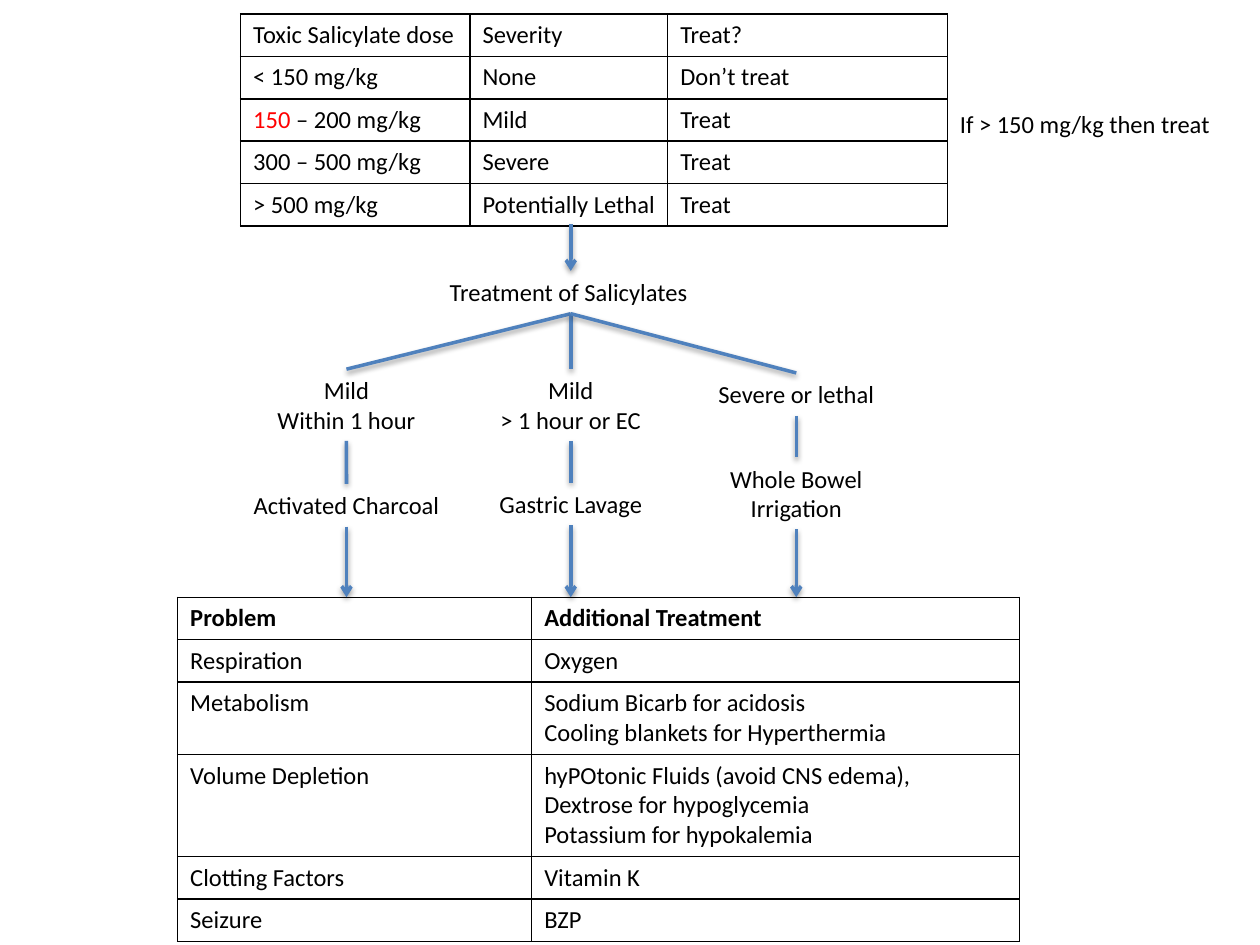
from dataclasses import dataclass

from lxml import etree
from pptx import Presentation
from pptx import util as u
from pptx.dml.color import RGBColor
from pptx.enum import text
from pptx.oxml import ns, parse_xml

NS = ns.nsdecls("a")
SHADOW = (f'<a:effectLst {NS}><a:outerShdw blurRad="40000" dist="20000" dir="5400000" '
          'rotWithShape="0"><a:srgbClr val="000000"><a:alpha val="38000"/></a:srgbClr>'
          '</a:outerShdw></a:effectLst>')


@dataclass(frozen=True)
class Theme:
    """Colours, type and line sizes of the slide."""
    font: str = "Calibri"
    size: int = 14
    ink: str = "000000"
    alert: str = "FF0000"
    line: str = "4F81BD"
    width: int = 2
    rule: int = 1


class Chart:
    """Holds the theme and the slide being drawn."""

    def __init__(self, theme, slide):
        self.theme, self.slide = theme, slide

    def style(self, run, color=None, bold=False):
        """Give a run the theme's type."""
        form = {"name": self.theme.font, "size": u.Pt(self.theme.size), "bold": bold}
        for key, val in form.items():
            setattr(run.font, key, val)
        run.font.color.rgb = RGBColor.from_string(color or self.theme.ink)

    def put(self, frame, words, bold=False, align=None):
        """Fill a frame; a tuple gives an alert run and a plain run."""
        lead, rest = words if isinstance(words, tuple) else ("", words)
        frame.text = rest
        for para in frame.paragraphs:
            para.alignment = align
            for run in para.runs:
                self.style(run, bold=bold)
        if lead:
            para = frame.paragraphs[0]
            para.runs[0].text = lead
            self.style(para.runs[0], self.theme.alert, bold)
            tail = para.add_run()
            tail.text = rest
            self.style(tail, bold=bold)

    def label(self, words, mid, top, width, align=text.PP_ALIGN.CENTER):
        """Add a text box centred on mid."""
        high = 0.57 if "\n" in words else 0.34
        box = self.slide.shapes.add_textbox(
            *map(u.Inches, (mid - width / 2, top, width, high)))
        form = {"word_wrap": False, "auto_size": text.MSO_AUTO_SIZE.SHAPE_TO_FIT_TEXT}
        for key, val in form.items():
            setattr(box.text_frame, key, val)
        self.put(box.text_frame, words, align=align)
        return box

    def link(self, ends, start=None, stop=None, arrow=False):
        """Draw a shadowed line, joined to the boxes given."""
        line = self.slide.shapes.add_connector(1, *map(u.Inches, ends))
        if start is not None:
            line.begin_connect(start, 2)
        if stop is not None:
            line.end_connect(stop, 0)
        line.line.color.rgb = RGBColor.from_string(self.theme.line)
        line.line.width = u.Pt(self.theme.width)
        props = line._element.spPr
        if arrow:
            etree.SubElement(props.find(ns.qn("a:ln")), ns.qn("a:tailEnd"), type="arrow")
        props.append(parse_xml(SHADOW))

    def border(self, cell):
        """Rule all four sides of a cell."""
        for side in "LRTB":
            cell._tc.get_or_add_tcPr().append(parse_xml(
                f'<a:ln{side} {NS} w="{u.Pt(self.theme.rule)}"><a:solidFill>'
                f'<a:srgbClr val="{self.theme.ink}"/></a:solidFill></a:ln{side}>'))

    def table(self, left, top, cols, highs, rows, bold=False):
        """Add a ruled table, with a bold head if asked."""
        grid = self.slide.shapes.add_table(
            len(rows), len(cols), *map(u.Inches, (left, top, sum(cols), sum(highs)))).table
        for key in ("first_row", "horz_banding"):
            setattr(grid, key, False)
        for col, wide in zip(grid.columns, cols):
            col.width = u.Inches(wide)
        for r, (row, high) in enumerate(zip(rows, highs)):
            grid.rows[r].height = u.Inches(high)
            for c, words in enumerate(row):
                cell = grid.cell(r, c)
                self.put(cell.text_frame, words, bold=bold and r == 0)
                self.border(cell)
                cell.fill.background()


DOSES = [
    ("Toxic Salicylate dose", "Severity", "Treat?"),
    ("< 150 mg/kg", "None", "Don’t treat"),
    (("150", " – 200 mg/kg"), "Mild", "Treat"),
    ("300 – 500 mg/kg", "Severe", "Treat"),
    ("> 500 mg/kg", "Potentially Lethal", "Treat"),
]
EXTRAS = [
    ("Problem", "Additional Treatment"),
    ("Respiration", "Oxygen"),
    ("Metabolism", "Sodium Bicarb for acidosis\nCooling blankets for Hyperthermia"),
    ("Volume Depletion", "hyPOtonic Fluids (avoid CNS edema),\n"
     "Dextrose for hypoglycemia\nPotassium for hypokalemia"),
    ("Clotting Factors", "Vitamin K"),
    ("Seizure", "BZP"),
]
PATHS = [
    (2.75, ("Mild\nWithin 1 hour", 2.93, 1.31), ("Activated Charcoal", 3.84, 1.7)),
    (4.53, ("Mild\n> 1 hour or EC", 2.93, 1.33), ("Gastric Lavage", 3.83, 1.35)),
    (6.32, ("Severe or lethal", 2.96, 1.45), ("Whole Bowel\nIrrigation", 3.63, 1.26)),
]


def main():
    """Build the treatment flow chart."""
    deck = Presentation()
    deck.slide_width, deck.slide_height = u.Inches(10), u.Inches(7.5)
    chart = Chart(Theme(), deck.slides.add_slide(deck.slide_layouts[6]))
    row, base, hub = 0.33, 4.74, 4.53

    chart.table(1.91, 0.11, (1.82, 1.57, 2.22), [row] * 5, DOSES)
    chart.table(1.41, base, (2.81, 3.87), (row, row, 0.56, 0.8, row, row), EXTRAS, bold=True)
    chart.label("If > 150 mg/kg then treat", 8.62, 0.82, 2.2, text.PP_ALIGN.LEFT)
    root = chart.label("Treatment of Salicylates", hub, 2.15, 2.12, text.PP_ALIGN.LEFT)
    chart.link((hub, 1.78, hub, 2.15), stop=root, arrow=True)
    for mid, case, cure in PATHS:
        first = chart.label(case[0], mid, *case[1:])
        last = chart.label(cure[0], mid, *cure[1:])
        chart.link((hub, 2.49, mid, case[1]), root, first)
        chart.link((mid, 3.5, mid, cure[1]), first, last)
        chart.link((mid, 4.2, mid, base), last, arrow=True)
    deck.save("out.pptx")


if __name__ == "__main__":
    main()
